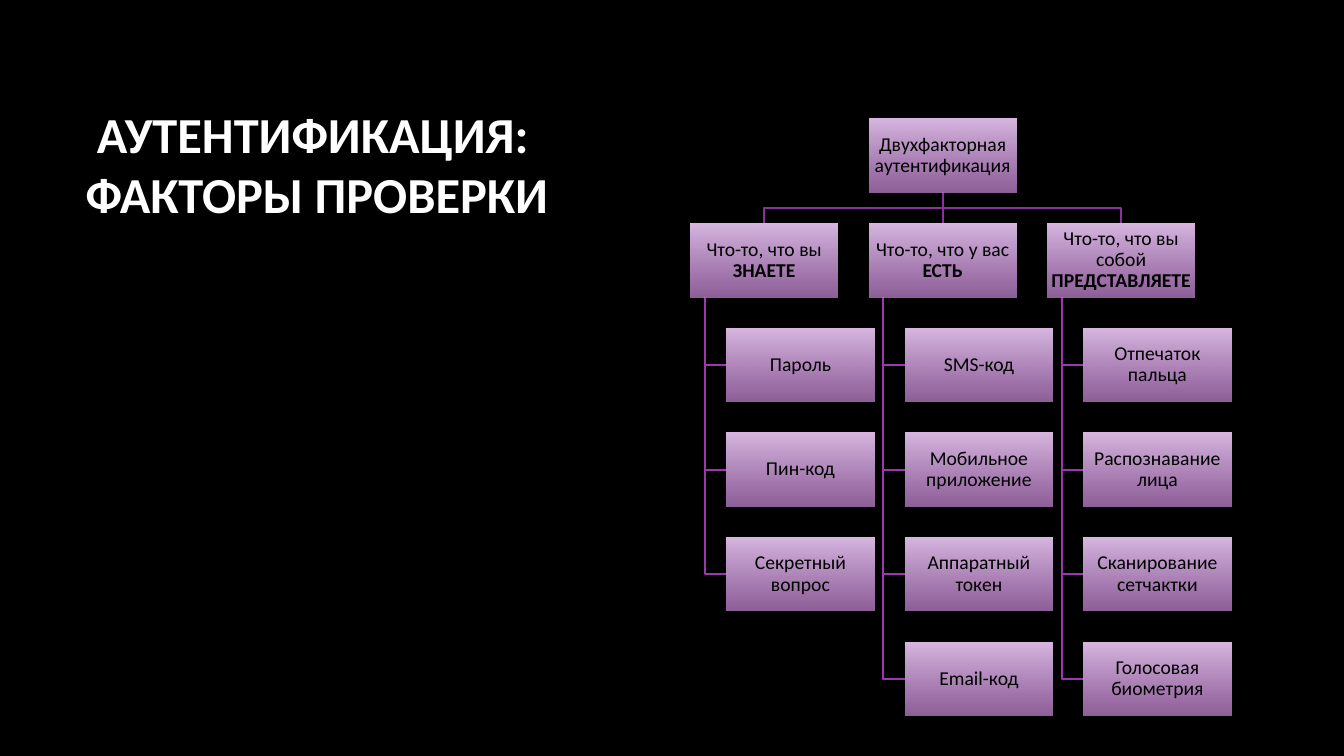
from pptx import Presentation
from pptx.dml.color import RGBColor
from pptx.enum.shapes import MSO_CONNECTOR as Conn, MSO_SHAPE as Geo
from pptx.enum.text import MSO_ANCHOR as Anchor, PP_ALIGN as Align
from pptx.oxml.xmlchemy import OxmlElement as Node
from pptx.util import Inches, Pt

BLACK = RGBColor(0x00, 0x00, 0x00)
WHITE = RGBColor(0xFF, 0xFF, 0xFF)
LILAC = RGBColor(0xD8, 0xB7, 0xE1)
MAUVE = RGBColor(0xBF, 0x82, 0xCE)
STEM = RGBColor(0x8A, 0x32, 0x9B)
TWIG = RGBColor(0x9C, 0x38, 0xAF)

# Chart grid, in inches
LEFT, TOP = 6.85, 1.18
WIDE, HIGH = 1.46, 0.73
COL, ROW = 1.77, 5.19 / 5
SPINE, INDENT = 0.14, 0.36

ROOT = "Двухфакторная аутентификация"
FACTORS = [
    ("Что-то, что вы ", "ЗНАЕТЕ",
     ["Пароль", "Пин-код", "Секретный вопрос"]),
    ("Что-то, что у вас ", "ЕСТЬ",
     ["SMS-код", "Мобильное приложение", "Аппаратный токен", "Email-код"]),
    ("Что-то, что вы собой ", "ПРЕДСТАВЛЯЕТЕ",
     ["Отпечаток пальца", "Распознавание лица", "Сканирование сетчактки",
      "Голосовая биометрия"]),
]


class Board:
    font = "Calibri"
    size = Pt(14)
    width = Pt(1.5)

    def __init__(self, slide):
        self.slide = slide
        self.shapes = slide.shapes
        slide.background.fill.solid()
        slide.background.fill.fore_color.rgb = BLACK

    def style(self, para, size, color):
        para.font.name = self.font
        para.font.size = size
        para.font.color.rgb = color

    def title(self, text, x, y, w, h):
        box = self.shapes.add_textbox(Inches(x), Inches(y), Inches(w), Inches(h))
        frame = box.text_frame
        frame.word_wrap = True
        frame.vertical_anchor = Anchor.MIDDLE
        para = frame.paragraphs[0]
        para.text = text
        self.style(para, Pt(36), WHITE)
        para.font.bold = True

    def box(self, x, y, text, strong=""):
        box = self.shapes.add_shape(
            Geo.RECTANGLE, Inches(x), Inches(y), Inches(WIDE), Inches(HIGH))
        box.shadow.inherit = False
        box.line.fill.background()
        # Gradient from top to bottom, the lower end partly clear
        box.fill.gradient()
        box.fill.gradient_angle = 270
        for stop, color in zip(box.fill.gradient_stops, (LILAC, MAUVE)):
            stop.color.rgb = color
        alpha = Node("a:alpha")
        alpha.set("val", "74000")
        box._element.xpath(".//a:gs/a:srgbClr")[-1].append(alpha)
        # Label
        frame = box.text_frame
        frame.word_wrap = True
        frame.vertical_anchor = Anchor.MIDDLE
        frame.margin_left = frame.margin_right = Inches(0.01)
        frame.margin_top = frame.margin_bottom = Inches(0.01)
        para = frame.paragraphs[0]
        para.alignment = Align.CENTER
        para.line_spacing = 0.9
        para.add_run().text = text
        if strong:
            run = para.add_run()
            run.text = strong
            run.font.bold = True
        self.style(para, self.size, BLACK)

    def bend(self, color, *points):
        first, *rest = [(Inches(x), Inches(y)) for x, y in points]
        pen = self.shapes.build_freeform(*first)
        pen.add_line_segments(rest, close=False)
        shape = pen.convert_to_shape()
        shape.shadow.inherit = False
        shape.fill.background()
        self.ink(shape, color)

    def drop(self, color, x, y, end):
        line = self.shapes.add_connector(
            Conn.STRAIGHT, Inches(x), Inches(y), Inches(x), Inches(end))
        self.ink(line, color)
        line._element.spPr.append(Node("a:effectLst"))

    def ink(self, shape, color):
        shape.line.color.rgb = color
        shape.line.width = self.width


def main():
    deck = Presentation()
    deck.slide_width, deck.slide_height = Inches(13.33), Inches(7.5)
    board = Board(deck.slides.add_slide(deck.slide_layouts[6]))
    board.title(" АУТЕНТИФИКАЦИЯ: \vФАКТОРЫ ПРОВЕРКИ", 0.75, 0.67, 11.08, 1.9)

    tops = [TOP + ROW * i for i in range(6)]
    lefts = [LEFT + COL * i for i in range(3)]
    hub = lefts[1] + WIDE / 2
    base = TOP + HIGH
    fork = (base + tops[1]) / 2

    # Lines, behind the boxes
    for x, (_, _, items) in zip(lefts, FACTORS):
        mid = x + WIDE / 2
        if mid == hub:
            board.drop(STEM, hub, base, tops[1])
        else:
            board.bend(STEM, (hub, base), (hub, fork), (mid, fork), (mid, tops[1]))
        for y, _ in zip(tops[2:], items):
            turn = y + HIGH / 2
            board.bend(TWIG, (x + SPINE, tops[1] + HIGH), (x + SPINE, turn),
                       (x + INDENT, turn))

    # Boxes
    board.box(lefts[1], TOP, ROOT)
    for x, (lead, strong, items) in zip(lefts, FACTORS):
        board.box(x, tops[1], lead, strong)
        for y, item in zip(tops[2:], items):
            board.box(x + INDENT, y, item)

    deck.save("out.pptx")


if __name__ == "__main__":
    main()
